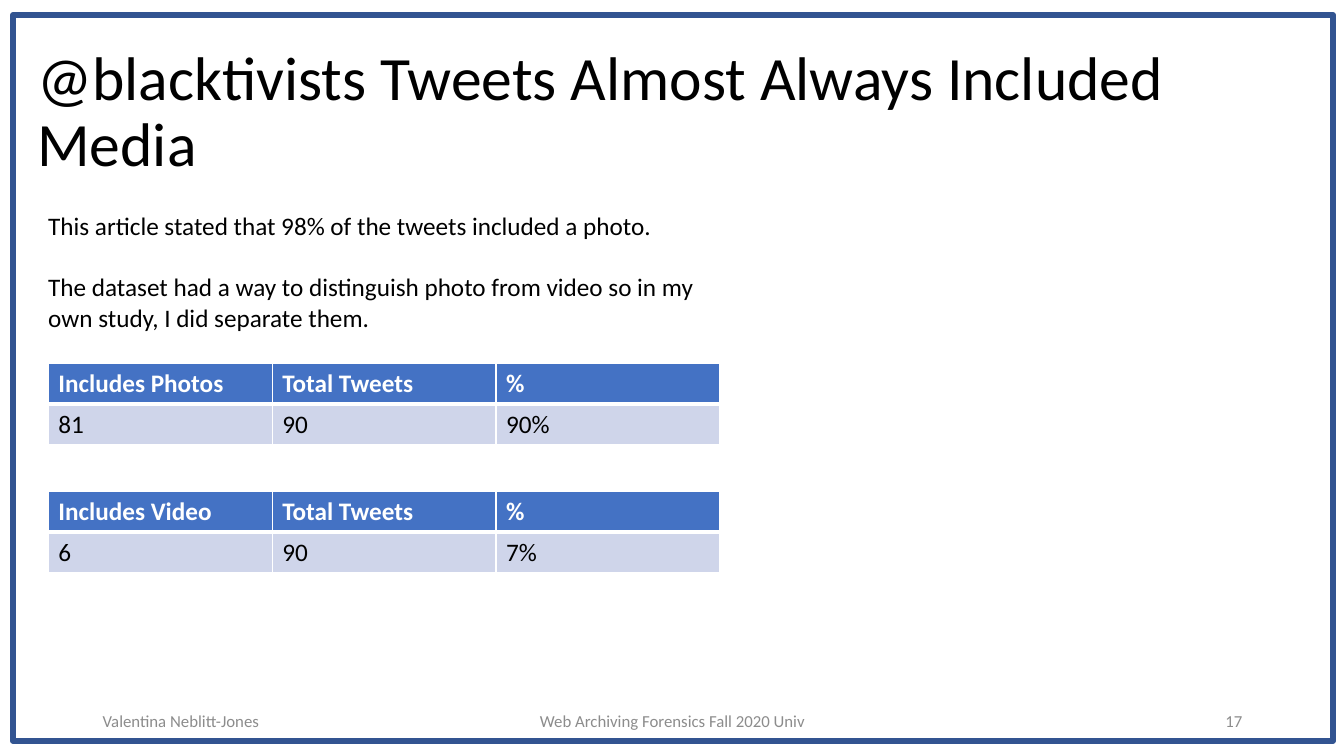
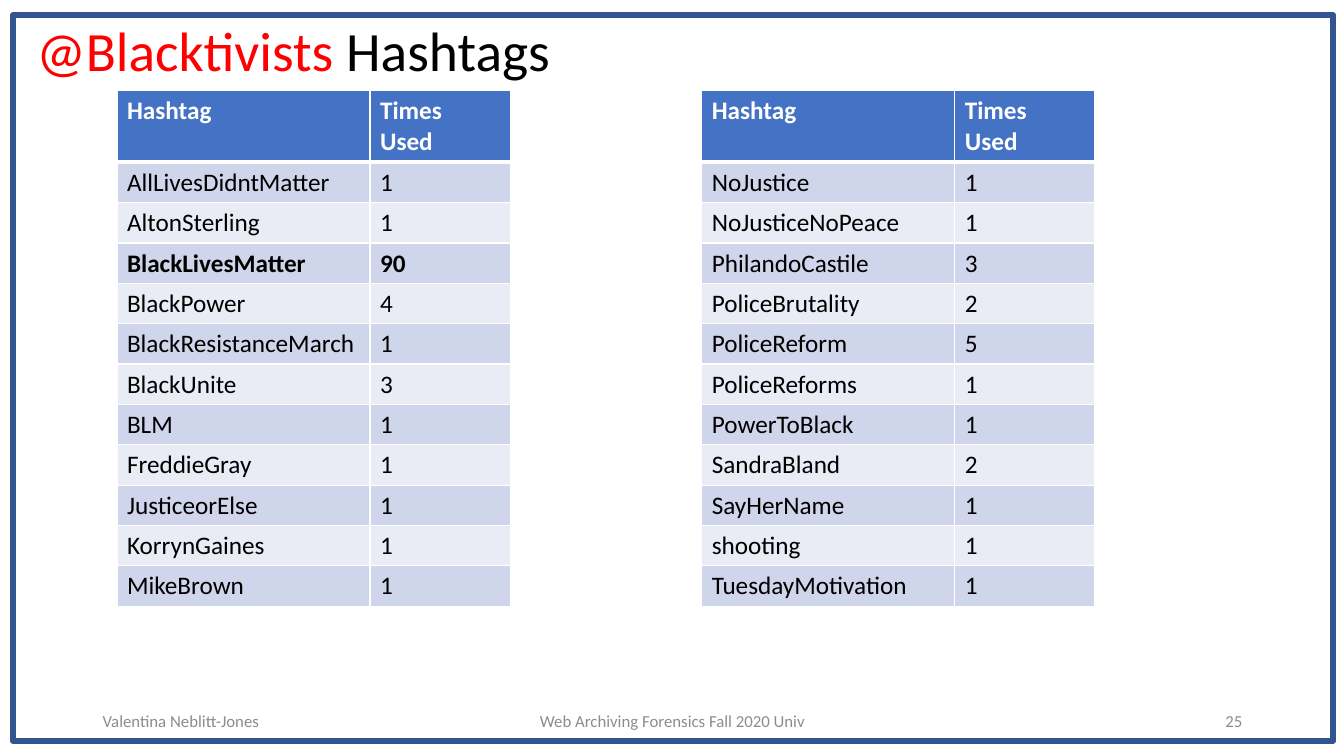
from dataclasses import dataclass

from lxml.etree import SubElement
from pptx import Presentation
from pptx.dml.color import RGBColor
from pptx.enum.shapes import MSO_SHAPE as Geo
from pptx.enum.text import MSO_ANCHOR as Anchor, MSO_AUTO_SIZE as Fit, PP_ALIGN as Align
from pptx.oxml.ns import qn
from pptx.slide import Slide
from pptx.util import Inches, Pt

FONT = "Calibri"
HUES = {
    "frame": "325491",
    "head": "4472C4",
    "odd": "CFD5EA",
    "even": "E9EBF5",
    "white": "FFFFFF",
    "black": "000000",
    "red": "FF0000",
    "grey": "8C8C8C",
}
ROW = 0.4


@dataclass(frozen=True)
class Box:
    left: float
    top: float
    width: float
    height: float

    def place(self) -> tuple:
        return tuple(Inches(n) for n in (self.left, self.top, self.width, self.height))


@dataclass(frozen=True)
class Span:
    text: str
    hue: str = "black"


@dataclass(frozen=True)
class Grid:
    left: float
    top: float
    cols: tuple
    rows: tuple
    head: float = ROW
    bold: int = 0


@dataclass(frozen=True)
class Foot:
    box: Box
    text: str
    align: Align


FEET = (
    Foot(Box(0.92, 6.95, 3, 0.4), "Valentina Neblitt-Jones", Align.LEFT),
    Foot(Box(4.42, 6.95, 4.5, 0.4), "Web Archiving Forensics Fall 2020 Univ", Align.CENTER),
)
FOLIO = Box(9.42, 6.95, 3, 0.4)

MEDIA = (
    "This article stated that 98% of the tweets included a photo.",
    "The dataset had a way to distinguish photo from video so in my own study, "
    "I did separate them.",
)
SHARES = (
    (("Includes Photos", "Total Tweets", "%"), ("81", "90", "90%")),
    (("Includes Video", "Total Tweets", "%"), ("6", "90", "7%")),
)
TAGS = (
    ("AllLivesDidntMatter", "1"),
    ("AltonSterling", "1"),
    ("BlackLivesMatter", "90"),
    ("BlackPower", "4"),
    ("BlackResistanceMarch", "1"),
    ("BlackUnite", "3"),
    ("BLM", "1"),
    ("FreddieGray", "1"),
    ("JusticeorElse", "1"),
    ("KorrynGaines", "1"),
    ("MikeBrown", "1"),
    ("NoJustice", "1"),
    ("NoJusticeNoPeace", "1"),
    ("PhilandoCastile", "3"),
    ("PoliceBrutality", "2"),
    ("PoliceReform", "5"),
    ("PoliceReforms", "1"),
    ("PowerToBlack", "1"),
    ("SandraBland", "2"),
    ("SayHerName", "1"),
    ("shooting", "1"),
    ("TuesdayMotivation", "1"),
)


def tint(hue: str) -> RGBColor:
    return RGBColor.from_string(HUES[hue])


def style(font, size: float, hue: str = "black", bold: bool = False) -> None:
    font.name = FONT
    font.size = Pt(size)
    font.bold = bold
    font.color.rgb = tint(hue)


def add_text(slide: Slide, box: Box, lines: tuple, size: float, hue: str = "black",
             align: Align = Align.LEFT, anchor: Anchor = Anchor.TOP, gap: float = 0) -> None:
    frame = slide.shapes.add_textbox(*box.place()).text_frame
    frame.word_wrap = True
    frame.vertical_anchor = anchor
    frame.text = "\n".join(lines)
    for para in frame.paragraphs:
        para.alignment = align
        style(para.font, size, hue)
    for para in frame.paragraphs[:-1]:
        para.space_after = Pt(gap)


def add_foot(slide: Slide, foot: Foot) -> None:
    add_text(slide, foot.box, (foot.text,), 12, "grey", foot.align, Anchor.MIDDLE)


def add_edge(cell, side: str, width: float) -> None:
    line = SubElement(cell._tc.get_or_add_tcPr(), qn(f"a:ln{side}"), w=str(Pt(width)))
    fill = SubElement(line, qn("a:solidFill"))
    SubElement(fill, qn("a:srgbClr"), val=HUES["white"])


def add_grid(slide: Slide, grid: Grid) -> None:
    count = len(grid.rows)
    box = Box(grid.left, grid.top, sum(grid.cols), grid.head + ROW * (count - 1))
    table = slide.shapes.add_table(count, len(grid.cols), *box.place()).table
    for col, width in zip(table.columns, grid.cols):
        col.width = Inches(width)
    for r, texts in enumerate(grid.rows):
        table.rows[r].height = Inches(ROW if r else grid.head)
        back = ("even", "odd")[r % 2] if r else "head"
        for c, text in enumerate(texts):
            cell = table.cell(r, c)
            edges = {"L": 1, "R": 1, "T": 3 if r == 1 else 1, "B": 1 if r else 3}
            for side, width in edges.items():
                add_edge(cell, side, width)
            cell.fill.solid()
            cell.fill.fore_color.rgb = tint(back)
            cell.text = text
            style(cell.text_frame.paragraphs[0].font, 18,
                  "black" if r else "white", r in (0, grid.bold))


def add_page(deck, box: Box, spans: tuple, size: float, folio: int) -> Slide:
    slide = deck.slides.add_slide(deck.slide_layouts.get_by_name("Title Only"))
    edge = slide.shapes.add_shape(Geo.RECTANGLE, *Box(0.13, 0.15, 13.09, 7.2).place())
    edge.shadow.inherit = False
    edge.fill.background()
    edge.line.color.rgb = tint("frame")
    edge.line.width = Pt(4.5)

    title = slide.shapes.title
    title.left, title.top, title.width, title.height = box.place()
    frame = title.text_frame
    frame.auto_size = Fit.NONE
    frame.word_wrap = True
    frame.vertical_anchor = Anchor.MIDDLE
    para = frame.paragraphs[0]
    para.alignment = Align.LEFT
    para.line_spacing = 0.9
    for span in spans:
        run = para.add_run()
        run.text = span.text
        style(run.font, size, span.hue)

    for foot in (*FEET, Foot(FOLIO, str(folio), Align.RIGHT)):
        add_foot(slide, foot)
    return slide


def add_media(deck) -> None:
    head = (Span("@blacktivists Tweets Almost Always Included Media"),)
    slide = add_page(deck, Box(0.27, 0.4, 12.54, 1.45), head, 44, 17)
    add_text(slide, Box(0.38, 2.04, 6.67, 1.31), MEDIA, 18, gap=22)
    for i, rows in enumerate(SHARES):
        add_grid(slide, Grid(0.48, 3.61 + 1.27 * i, (2.22,) * 3, rows))


def add_tags(deck) -> None:
    head = (Span("@Blacktivists", "red"), Span(" Hashtags"))
    slide = add_page(deck, Box(0.26, 0.27, 5.72, 0.53), head, 39.6, 25)
    half = len(TAGS) // 2
    for i, bold in enumerate((3, 0)):
        rows = (("Hashtag", "Times Used"), *TAGS[i * half:(i + 1) * half])
        add_grid(slide, Grid(1.16 + 5.8 * i, 0.9, (2.51, 1.39), rows, 0.71, bold))


def main() -> None:
    deck = Presentation()
    deck.slide_width = Inches(13.33)
    deck.slide_height = Inches(7.5)
    add_media(deck)
    add_tags(deck)
    deck.save("out.pptx")


if __name__ == "__main__":
    main()
